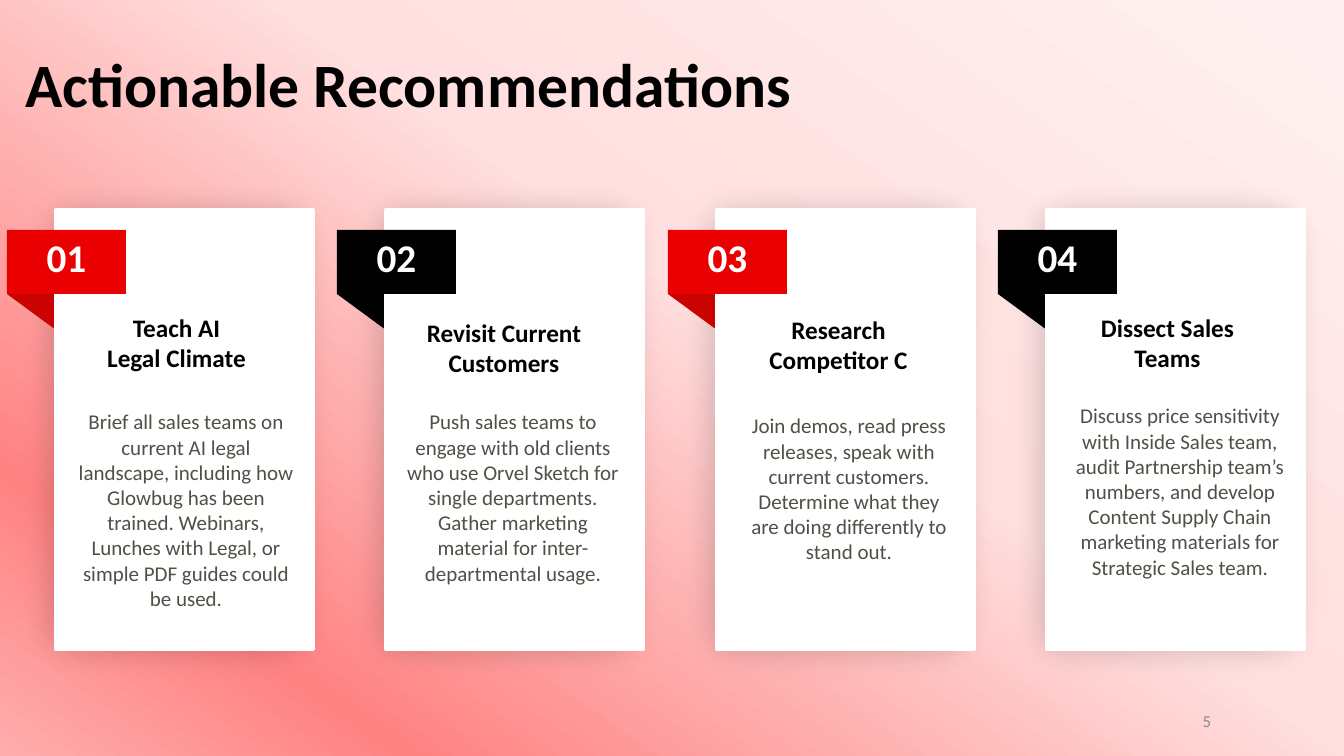
from lxml.etree import SubElement
from pptx import Presentation
from pptx.dml.color import RGBColor
from pptx.enum.shapes import MSO_SHAPE as Shape
from pptx.enum.text import MSO_ANCHOR as Anchor, PP_ALIGN as Align
from pptx.oxml import parse_xml
from pptx.oxml.ns import nsdecls, qn
from pptx.util import Pt

PX = 9071  # EMU per px, 100.8 px to the inch
FONT = "Calibri"
COLORS = {
    "black": "000000", "white": "FFFFFF", "red": "EA0000", "dark red": "CA0200",
    "body": "505046", "page number": "8C8C8C",
}
BACKGROUND_STOPS = [(0, "FFF1F1"), (44, "FFDFDF"), (83, "FF8383"), (100, "FFACAC")]
BACKGROUND_ANGLE = 125

# left, banner color, fold color, heading (left, top, width), body (left, top, width), texts
CARDS = [
    (0, "red", "dark red", (95, 307, 163), (67, 404, 238), "Teach AI Legal Climate",
     "Brief all sales teams on current AI legal landscape, including how Glowbug has been "
     "trained. Webinars, Lunches with Legal, or simple PDF guides could be used."),
    (330, "black", "black", (73, 312, 202), (66, 404, 234), "Revisit Current Customers",
     "Push sales teams to engage with old clients who use Orvel Sketch for single "
     "departments. Gather marketing material for inter-departmental usage."),
    (661, "red", "dark red", (96, 309, 163), (80, 408, 216), "Research Competitor C",
     "Join demos, read press releases, speak with current customers. Determine what they "
     "are doing differently to stand out."),
    (991, "black", "black", (95, 307, 163), (72, 398, 234), "Dissect Sales Teams",
     "Discuss price sensitivity with Inside Sales team, audit Partnership team’s numbers, "
     "and develop Content Supply Chain marketing materials for Strategic Sales team."),
]


def add_block(shapes, kind, left, top, width, height, color):
    shape = shapes.add_shape(kind, left * PX, top * PX, width * PX, height * PX)
    shape.shadow.inherit = False
    shape.fill.solid()
    shape.fill.fore_color.rgb = RGBColor.from_string(COLORS[color])
    shape.line.fill.background()
    return shape


def add_label(shapes, left, top, width, height, text, size, color, bold=False,
              align=Align.CENTER):
    box = shapes.add_textbox(left * PX, top * PX, width * PX, height * PX)
    box.text_frame.word_wrap = True
    paragraph = box.text_frame.paragraphs[0]
    paragraph.alignment = align
    run = paragraph.add_run()
    run.text = text
    run.font.name = FONT
    run.font.size = Pt(size)
    run.font.bold = bold
    run.font.color.rgb = RGBColor.from_string(COLORS[color])
    return box


presentation = Presentation()
presentation.slide_width = 1344 * PX
presentation.slide_height = 756 * PX
slide = presentation.slides.add_slide(presentation.slide_layouts[5])

# Background gradient
stops = "".join(
    f'<a:gs pos="{position * 1000}"><a:srgbClr val="{color}"/></a:gs>'
    for position, color in BACKGROUND_STOPS
)
background = parse_xml(
    f'<p:bg {nsdecls("p", "a")}><p:bgPr><a:gradFill rotWithShape="1"><a:gsLst>{stops}</a:gsLst>'
    f'<a:lin ang="{BACKGROUND_ANGLE * 60000}" scaled="0"/></a:gradFill><a:effectLst/>'
    '</p:bgPr></p:bg>'
)
slide.element.cSld.insert(0, background)

# Title
title = slide.shapes.title
title.left, title.top, title.width, title.height = 15 * PX, 45 * PX, 825 * PX, 81 * PX
title.text_frame.vertical_anchor = Anchor.BOTTOM
title.text_frame.word_wrap = True
paragraph = title.text_frame.paragraphs[0]
paragraph.alignment = Align.LEFT
paragraph.line_spacing = 0.9
run = paragraph.add_run()
run.text = "Actionable Recommendations"
run.font.name = FONT
run.font.size = Pt(44)
run.font.bold = True
run.font.color.rgb = RGBColor.from_string(COLORS["black"])

# Recommendation cards
for number, card in enumerate(CARDS, start=1):
    left, banner_color, fold_color, heading_place, body_place, heading, body = card
    shapes = slide.shapes.add_group_shape().shapes

    # Soft shadow behind the card
    glow = add_block(shapes, Shape.RECTANGLE, left, 161, 353, 540, "black")
    properties = glow.element.spPr
    fill_color = properties.find(qn("a:solidFill")).find(qn("a:srgbClr"))
    SubElement(fill_color, qn("a:alpha"), val="16000")
    SubElement(properties.find(qn("a:effectLst")), qn("a:softEdge"), rad="317500")

    # Card with its folded banner
    fold = add_block(shapes, Shape.RIGHT_TRIANGLE, left + 7, 294, 49, 36, fold_color)
    fold.rotation = 180
    panel = add_block(shapes, Shape.RECTANGLE, left + 56, 210, 257, 439, "white")
    panel.line.color.rgb = RGBColor.from_string(COLORS["white"])
    panel.line.width = Pt(3)
    add_block(shapes, Shape.RECTANGLE, left + 7, 230, 119, 64, banner_color)
    add_label(shapes, left + 7, 228, 119, 58, f"{number:02}", 28, "white", bold=True)

    # Heading and body text
    offset, top, width = heading_place
    add_label(shapes, left + offset, top, width, 71, heading, 18, "black", bold=True)
    offset, top, width = body_place
    add_label(shapes, left + offset, top, width, 188, body, 15, "body")

# Page number
page_number = add_label(slide.shapes, 919, 701, 302, 40, "5", 12, "page number",
                        align=Align.RIGHT)
page_number.text_frame.vertical_anchor = Anchor.MIDDLE

presentation.save("out.pptx")
